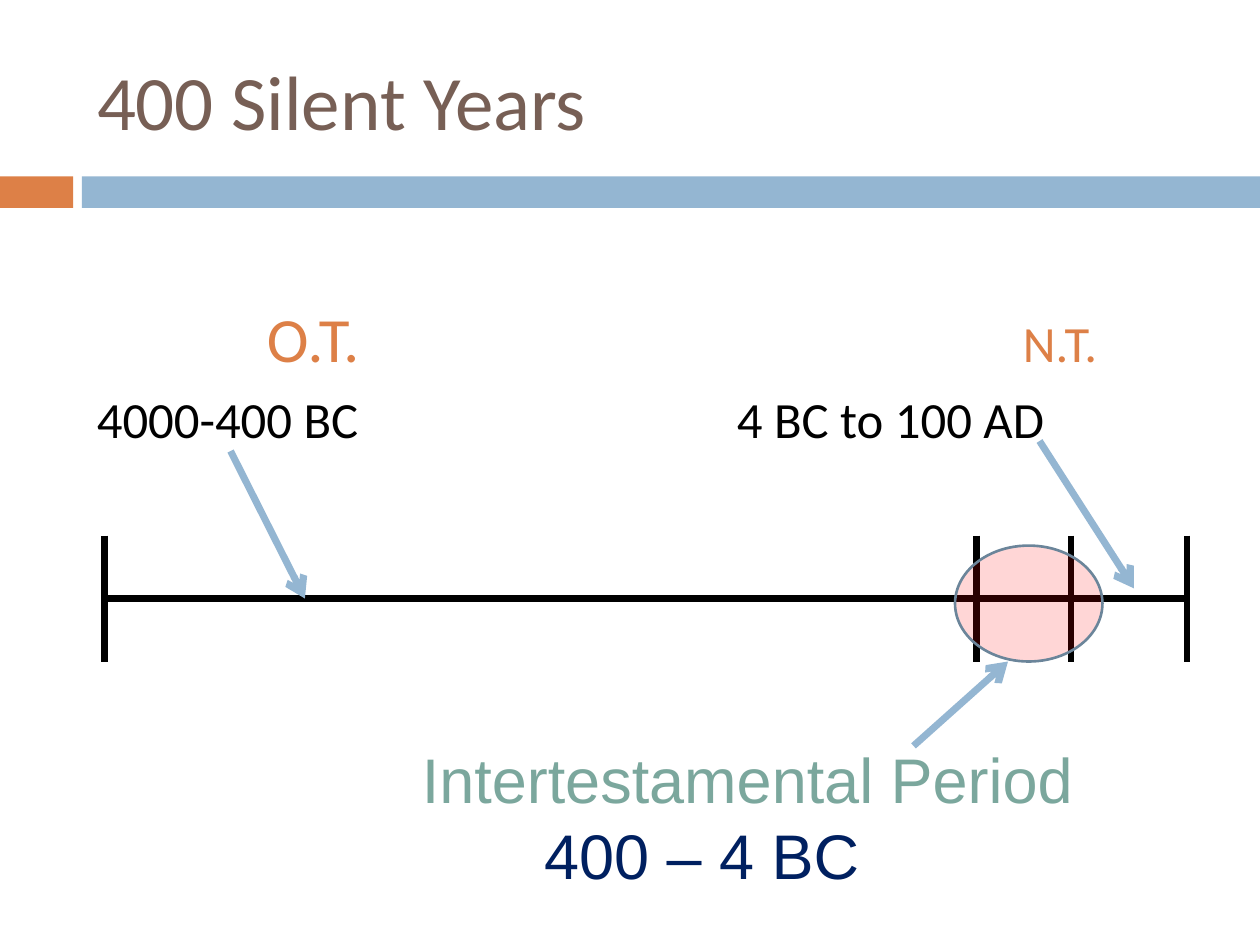
"""Build the "400 Silent Years" timeline slide."""
import pptx
import pptx.dml.color
import pptx.enum.shapes
import pptx.enum.text
import pptx.oxml.ns
import pptx.util
from lxml import etree

Inches, Pt = pptx.util.Inches, pptx.util.Pt
RGB = pptx.dml.color.RGBColor.from_string
qn = pptx.oxml.ns.qn
SHAPE = pptx.enum.shapes.MSO_SHAPE
COLORS = {
    "orange": "DD8047", "blue": "94B6D2", "brown": "775F55", "green": "7BA79D",
    "navy": "002060", "black": "000000", "red": "FF0000", "outline": "6B859A",
}


def add_text(p, text, color="black", size=29, font="Calibri"):
    r = p.add_run()
    r.text = text
    r.font.name = font
    r.font.size = Pt(size)
    r.font.color.rgb = RGB(COLORS[color])


def add_line(s, start, end, color="black", width=3.75, arrow=False):
    x1, y1, x2, y2 = [Inches(v) for v in start + end]
    c = s.shapes.add_connector(pptx.enum.shapes.MSO_CONNECTOR.STRAIGHT, x1, y1, x2, y2)
    c.line.color.rgb = RGB(COLORS[color])
    c.line.width = Pt(width)
    if arrow:
        etree.SubElement(c.line._get_or_add_ln(), qn("a:tailEnd"), type="arrow")
    etree.SubElement(c._element.spPr, qn("a:effectLst"))


prs = pptx.Presentation()
prs.slide_width, prs.slide_height = Inches(10), Inches(7.5)
s = prs.slides.add_slide(prs.slide_layouts[5])

for left, width, color in [(0, 0.58, "orange"), (0.65, 9.35, "blue")]:
    sp = s.shapes.add_shape(SHAPE.RECTANGLE, Inches(left), Inches(1.4), Inches(width), Inches(0.25))
    sp.shadow.inherit = False
    sp.fill.solid()
    sp.fill.fore_color.rgb = RGB(COLORS[color])
    sp.line.fill.background()

title = s.shapes.title
title.left, title.top, title.width, title.height = [Inches(v) for v in (0.67, 0.25, 8.92, 1.08)]
tf = title.text_frame
tf.auto_size = pptx.enum.text.MSO_AUTO_SIZE.NONE
tf.vertical_anchor = pptx.enum.text.MSO_ANCHOR.MIDDLE
p = tf.paragraphs[0]
p.alignment = pptx.enum.text.PP_ALIGN.LEFT
add_text(p, "400 Silent Years", color="brown", size=44)

rows = [
    ([1.35, 7.35], [("\tO.T.", "orange", 36), ("\tN.T.", "orange", 29)]),
    ([5.08], [("4000-400 BC", "black", 29), ("\t4 BC to 100 AD", "black", 29)]),
]
tf = s.shapes.add_textbox(Inches(0.67), Inches(1.75), Inches(8.92), Inches(4.92)).text_frame
tf.word_wrap = True
tf.margin_top = Inches(0.63)
for i, (tabs, runs) in enumerate(rows):
    p = tf.add_paragraph() if i else tf.paragraphs[0]
    tab_list = etree.SubElement(p._p.get_or_add_pPr(), qn("a:tabLst"))
    for tab in tabs:
        etree.SubElement(tab_list, qn("a:tab"), pos=str(Inches(tab)), algn="l")
    p.space_before = Pt(7 if i else 0)
    for text, color, size in runs:
        add_text(p, text, color=color, size=size)

add_line(s, (0.83, 4.75), (9.42, 4.75))
for x in (0.83, 9.42, 7.75, 8.5):
    add_line(s, (x, 4.25), (x, 5.25))
for start, end in [((1.83, 3.58), (2.42, 4.75)), ((8.25, 3.5), (9, 4.67)), ((7.25, 5.92), (8, 5.25))]:
    add_line(s, start, end, color="blue", width=4, arrow=True)

tf = s.shapes.add_textbox(Inches(3.25), Inches(5.83), Inches(6.17), Inches(1.3)).text_frame
tf.word_wrap = True
add_text(tf.paragraphs[0], "Intertestamental Period", color="green", size=36, font="Arial")
p = tf.add_paragraph()
p._p.get_or_add_pPr().set("marL", str(Inches(0.97)))
add_text(p, "400 – 4 BC", color="navy", size=36, font="Arial")

sp = s.shapes.add_shape(SHAPE.OVAL, Inches(7.58), Inches(4.33), Inches(1.17), Inches(0.92))
sp.shadow.inherit = False
sp.fill.solid()
sp.fill.fore_color.rgb = RGB(COLORS["red"])
etree.SubElement(sp._element.spPr.find(".//" + qn("a:srgbClr")), qn("a:alpha"), val="16000")
sp.line.color.rgb = RGB(COLORS["outline"])
sp.line.width = Pt(1.5)

prs.save("out.pptx")
